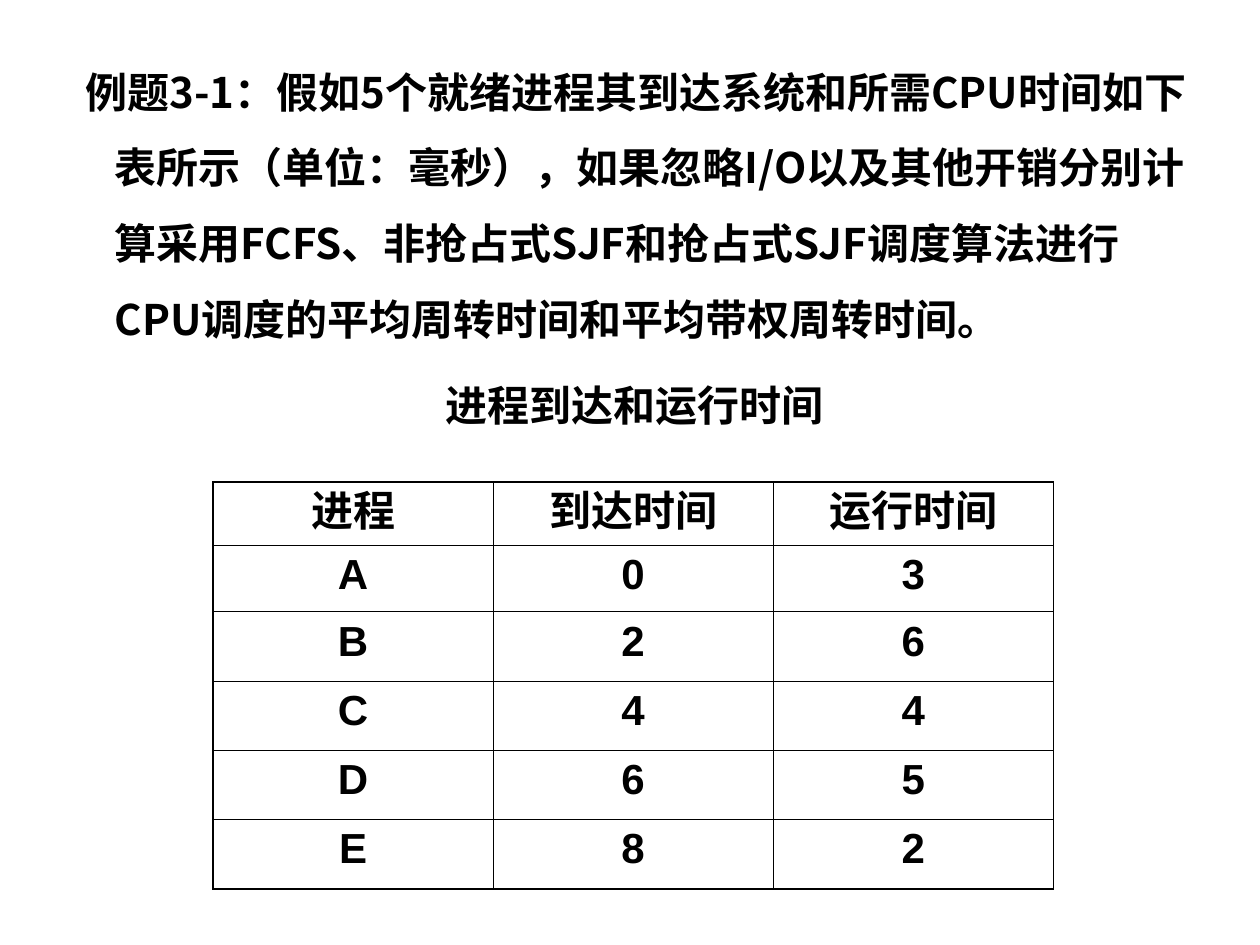
from dataclasses import dataclass

from lxml.etree import SubElement
from pptx import Presentation
from pptx.dml.color import RGBColor
from pptx.enum.text import MSO_ANCHOR, MSO_AUTO_SIZE, PP_ALIGN
from pptx.oxml.ns import qn
from pptx.slide import Slide
from pptx.table import _Cell
from pptx.text.text import _Paragraph
from pptx.util import Inches, Pt

SLIDE_WIDTH, SLIDE_HEIGHT = Inches(10), Inches(7.5)


@dataclass(frozen=True)
class Theme:
    ink: str = "000000"
    text_size: float = 24
    question_font: str = "Noto Sans CJK SC"
    table_font: str = "Arial"
    outer_line: float = 1.08
    inner_line: float = 0.45


@dataclass(frozen=True)
class Area:
    """A rectangle in shares of the slide's size."""
    left: float
    top: float
    width: float
    height: float

    def box(self) -> tuple[int, int, int, int]:
        return (int(self.left * SLIDE_WIDTH), int(self.top * SLIDE_HEIGHT),
                int(self.width * SLIDE_WIDTH), int(self.height * SLIDE_HEIGHT))


@dataclass(frozen=True)
class QuestionLine:
    text: str
    align: PP_ALIGN
    first_indent: float
    space_before: float


THEME = Theme()
QUESTION_AREA = Area(0.043, 0.037, 0.921, 0.424)
TABLE_AREA = Area(0.169, 0.51, 0.667, 0.43)
HANGING_MARGIN = 0.38
ROW_HEIGHTS = (0.5, 0.53, 0.55, 0.55, 0.55, 0.55)

QUESTION = (
    QuestionLine(
        "例题3-1：假如5个就绪进程其到达系统和所需CPU时间如下表所示（单位：毫秒），"
        "如果忽略I/O以及其他开销分别计算采用FCFS、非抢占式SJF和抢占式SJF调度算法"
        "进行CPU调度的平均周转时间和平均带权周转时间。",
        PP_ALIGN.LEFT, -0.23, 0),
    QuestionLine("进程到达和运行时间", PP_ALIGN.CENTER, -0.38, 6),
)
PROCESSES = (
    ("进程", "到达时间", "运行时间"),
    ("A", "0", "3"),
    ("B", "2", "6"),
    ("C", "4", "4"),
    ("D", "6", "5"),
    ("E", "8", "2"),
)


def write(paragraph: _Paragraph, text: str, typeface: str, align: PP_ALIGN) -> None:
    paragraph.alignment = align
    run = paragraph.add_run()
    run.text = text
    font_format = {"name": typeface, "size": Pt(THEME.text_size), "bold": True}
    for attribute, value in font_format.items():
        setattr(run.font, attribute, value)
    run.font.color.rgb = RGBColor.from_string(THEME.ink)
    SubElement(run.font._element, qn("a:ea"), typeface=typeface)


def add_question(slide: Slide) -> None:
    frame = slide.shapes.add_textbox(*QUESTION_AREA.box()).text_frame
    frame.word_wrap = True
    frame.auto_size = MSO_AUTO_SIZE.SHAPE_TO_FIT_TEXT
    for index, line in enumerate(QUESTION):
        paragraph = frame.add_paragraph() if index else frame.paragraphs[0]
        paragraph.line_spacing = 1.5
        paragraph.space_before = Pt(line.space_before)
        properties = paragraph._p.get_or_add_pPr()
        properties.set("marL", str(Inches(HANGING_MARGIN)))
        properties.set("indent", str(Inches(line.first_indent)))
        write(paragraph, line.text, THEME.question_font, line.align)


def draw_borders(cell: _Cell, outer_sides: dict[str, bool]) -> None:
    """Draw all four sides, heavier where the side lies on the table's edge."""
    properties = cell._tc.get_or_add_tcPr()
    for side, is_outer in outer_sides.items():
        width = THEME.outer_line if is_outer else THEME.inner_line
        border = SubElement(properties, qn(f"a:{side}"), w=str(Pt(width)))
        fill = SubElement(border, qn("a:solidFill"))
        SubElement(fill, qn("a:srgbClr"), val=THEME.ink)


def add_process_table(slide: Slide) -> None:
    last_row, last_column = len(PROCESSES) - 1, len(PROCESSES[0]) - 1
    table = slide.shapes.add_table(
        last_row + 1, last_column + 1, *TABLE_AREA.box()).table
    table.first_row = table.horz_banding = False
    for row, height in zip(table.rows, ROW_HEIGHTS):
        row.height = Inches(height)
    for row, values in enumerate(PROCESSES):
        for column, value in enumerate(values):
            cell = table.cell(row, column)
            cell.vertical_anchor = MSO_ANCHOR.TOP
            write(cell.text_frame.paragraphs[0], value,
                  THEME.table_font, PP_ALIGN.CENTER)
            draw_borders(cell, {"lnL": column == 0, "lnR": column == last_column,
                                "lnT": row == 0, "lnB": row == last_row})
            cell.fill.background()


def main() -> None:
    presentation = Presentation()
    presentation.slide_width, presentation.slide_height = SLIDE_WIDTH, SLIDE_HEIGHT
    slide = presentation.slides.add_slide(presentation.slide_layouts[6])
    add_question(slide)
    add_process_table(slide)
    presentation.save("out.pptx")


if __name__ == "__main__":
    main()
